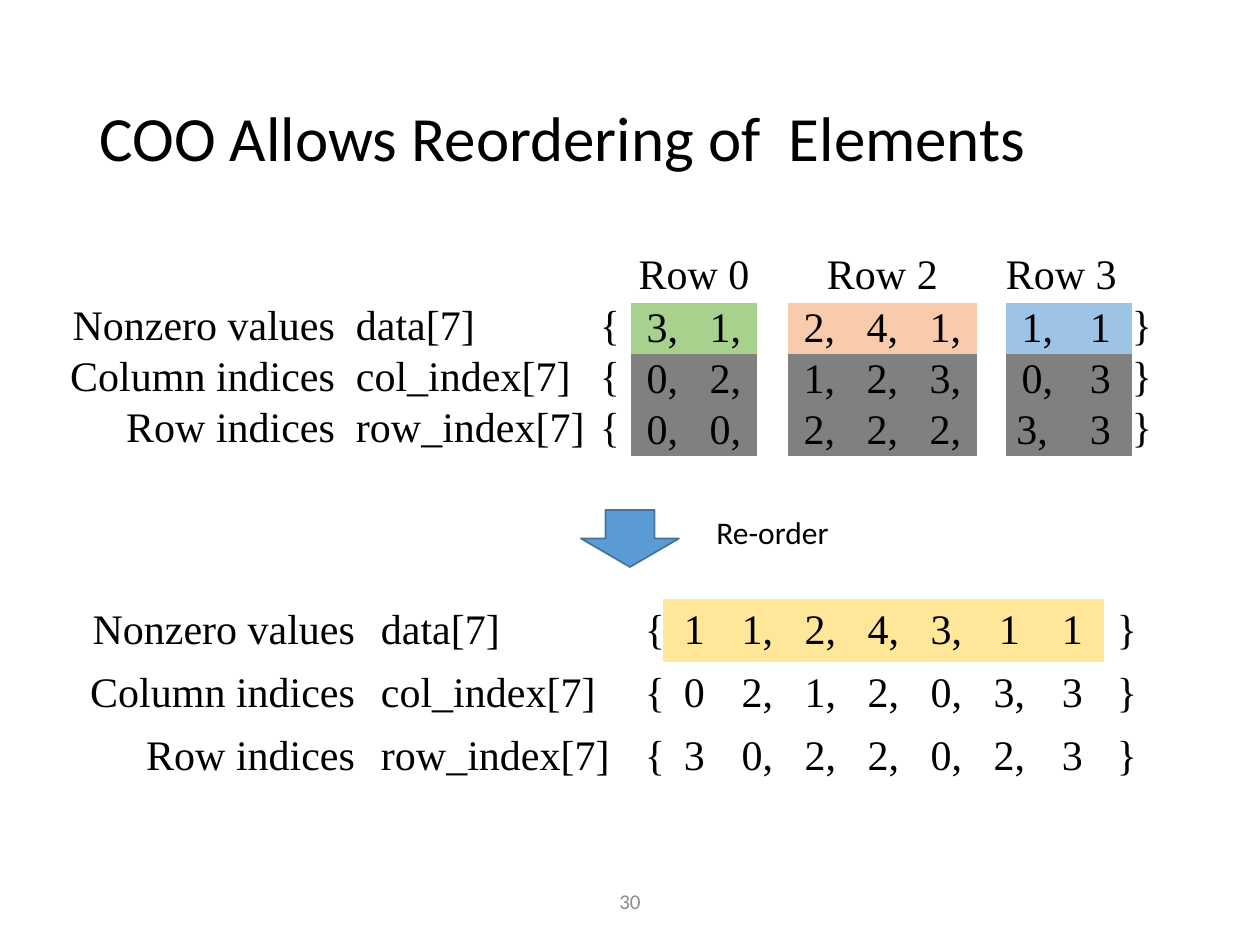
"""Build the slide on reordering the elements of a COO sparse matrix."""
from dataclasses import dataclass

from pptx import Presentation
from pptx.dml.color import RGBColor
from pptx.enum.shapes import MSO_SHAPE
from pptx.enum.text import MSO_ANCHOR, PP_ALIGN
from pptx.util import Pt

PX = 914400 / 126
NO_GRID_STYLE = "{2D5ABB26-0587-4C30-8999-92F81FD0307C}"
COLORS = {
    "text": "000000",
    "number": "8C8C8C",
    "row0": "A9D18E",
    "row2": "F8CBAD",
    "row3": "9DC3E6",
    "index": "808080",
    "mixed": "FFE699",
    "plain": "FFFFFF",
    "arrow": "5B9BD5",
    "arrow_line": "43739E",
}
ALIGN = {"l": PP_ALIGN.LEFT, "c": PP_ALIGN.CENTER, "r": PP_ALIGN.RIGHT}


@dataclass(frozen=True)
class Label:
    text: str
    box: tuple[int, int, int, int]
    size: int
    color: str = "text"
    align: str = "l"
    anchor: MSO_ANCHOR = MSO_ANCHOR.MIDDLE
    spacing: float = 1.0


@dataclass(frozen=True)
class Band:
    first: int
    last: int
    colors: tuple[str, ...]
    heading: str = ""
    heading_align: str = "c"


@dataclass(frozen=True)
class Grid:
    x: int
    y: int
    widths: tuple[int, ...]
    row_height: int
    aligns: str
    rows: tuple[str, ...]
    bands: tuple[Band, ...]
    margins: tuple[int, int]
    name_indent: int
    side_anchor: MSO_ANCHOR
    has_headings: bool = False


LABELS = (
    Label("COO Allows Reordering of  Elements", (87, 50, 1086, 183), 36, spacing=0.9),
    Label("30", (417, 876, 426, 50), 12, "number", "c"),
    Label("Re-order", (704, 507, 156, 50), 18, anchor=MSO_ANCHOR.TOP),
)
GRIDS = (
    Grid(
        68, 599, (300, 264, 31, *[63] * 7, 43), 63, "rll" + "c" * 7 + "l",
        (
            "Nonzero values|data[7]|{|1|1,|2,|4,|3,|1|1|}",
            "Column indices|col_index[7]|{|0|2,|1,|2,|0,|3,|3|}",
            "Row indices|row_index[7]|{|3|0,|2,|2,|0,|2, |3|}",
        ),
        (
            Band(3, 4, ("mixed", "plain", "plain")),
            Band(5, 9, ("mixed",)),
        ),
        (13, 6), 13, MSO_ANCHOR.MIDDLE,
    ),
    Grid(
        35, 252, (300, 265, 31, 63, 63, 31, 63, 63, 63, 29, 63, 63, 48), 51,
        "rll" + "c" * 9 + "l",
        (
            "Nonzero values|data[7]|{|3,|1,||2,|4,|1,||1,|1|}",
            "Column indices|col_index[7]|{|0,|2,||1,|2,|3,||0,|3|}",
            "Row indices|row_index[7]|{|0,|0,||2,|2,|2,||3, |3|}",
        ),
        (
            Band(3, 4, ("row0", "index", "index"), "Row 0"),
            Band(6, 8, ("row2", "index", "index"), "Row 2"),
            Band(10, 11, ("row3", "index", "index"), "Row 3", "l"),
        ),
        (0, 0), 21, MSO_ANCHOR.TOP, True,
    ),
)


def emu(px: int) -> int:
    """Turn px into EMU."""
    return round(px * PX)


def rgb(name: str) -> RGBColor:
    """Look up a named colour."""
    return RGBColor.from_string(COLORS[name])


def write(tf, text: str, size: int, font: str, color: str, align: str) -> None:
    """Set the text of a frame and format its only run."""
    tf.text = text
    p = tf.paragraphs[0]
    p.alignment = ALIGN[align]
    for r in p.runs:
        r.font.size = Pt(size)
        r.font.name = font
        r.font.color.rgb = rgb(color)


def draw_label(s, label: Label) -> None:
    """Draw a text box."""
    tf = s.shapes.add_textbox(*map(emu, label.box)).text_frame
    tf.word_wrap = True
    tf.vertical_anchor = label.anchor
    write(tf, label.text, label.size, "Calibri", label.color, label.align)
    tf.paragraphs[0].line_spacing = label.spacing


def draw_arrow(s, x: int, y: int, w: int, h: int) -> None:
    """Draw the down arrow between the two tables."""
    sp = s.shapes.add_shape(MSO_SHAPE.DOWN_ARROW, *map(emu, (x, y, w, h)))
    sp.shadow.inherit = False
    sp.fill.solid()
    sp.fill.fore_color.rgb = rgb("arrow")
    sp.line.color.rgb = rgb("arrow_line")
    sp.line.width = Pt(1)


def write_cell(cell, text: str, align: str) -> None:
    """Write one table cell."""
    write(cell.text_frame, text, 24, "Times New Roman", "text", align)


def draw_grid(s, grid: Grid) -> None:
    """Draw a table of arrays with its coloured bands."""
    top = int(grid.has_headings)
    count = len(grid.rows) + top
    size = sum(grid.widths), count * grid.row_height
    frame = s.shapes.add_table(count, len(grid.widths), *map(emu, (grid.x, grid.y, *size)))
    table = frame.table
    table.first_row = table.horz_banding = False
    table._tbl.tblPr[0].text = NO_GRID_STYLE
    for column, width in zip(table.columns, grid.widths):
        column.width = emu(width)
    for row in table.rows:
        row.height = emu(grid.row_height)
    side, edge = map(emu, grid.margins)
    for cell in table.iter_cells():
        cell.margin_left = cell.margin_right = side
        cell.margin_top = cell.margin_bottom = edge
        cell.vertical_anchor = grid.side_anchor
        cell.fill.background()
    for i, line in enumerate(grid.rows, top):
        for j, text in enumerate(line.split("|")):
            write_cell(table.cell(i, j), text, grid.aligns[j])
        table.cell(i, 1).margin_left = emu(grid.name_indent)
        for band in grid.bands:
            for j in range(band.first, band.last + 1):
                cell = table.cell(i, j)
                cell.vertical_anchor = MSO_ANCHOR.MIDDLE
                if i - top < len(band.colors):
                    cell.fill.solid()
                    cell.fill.fore_color.rgb = rgb(band.colors[i - top])
    for band in grid.bands:
        if band.heading:
            cell = table.cell(0, band.first)
            cell.merge(table.cell(0, band.last))
            write_cell(cell, band.heading, band.heading_align)


def main() -> None:
    """Build and save the slide."""
    prs = Presentation()
    prs.slide_width, prs.slide_height = emu(1260), emu(945)
    s = prs.slides.add_slide(prs.slide_layouts[6])
    for grid in GRIDS:
        draw_grid(s, grid)
    for label in LABELS:
        draw_label(s, label)
    draw_arrow(s, 581, 510, 98, 57)
    prs.save("out.pptx")


if __name__ == "__main__":
    main()
